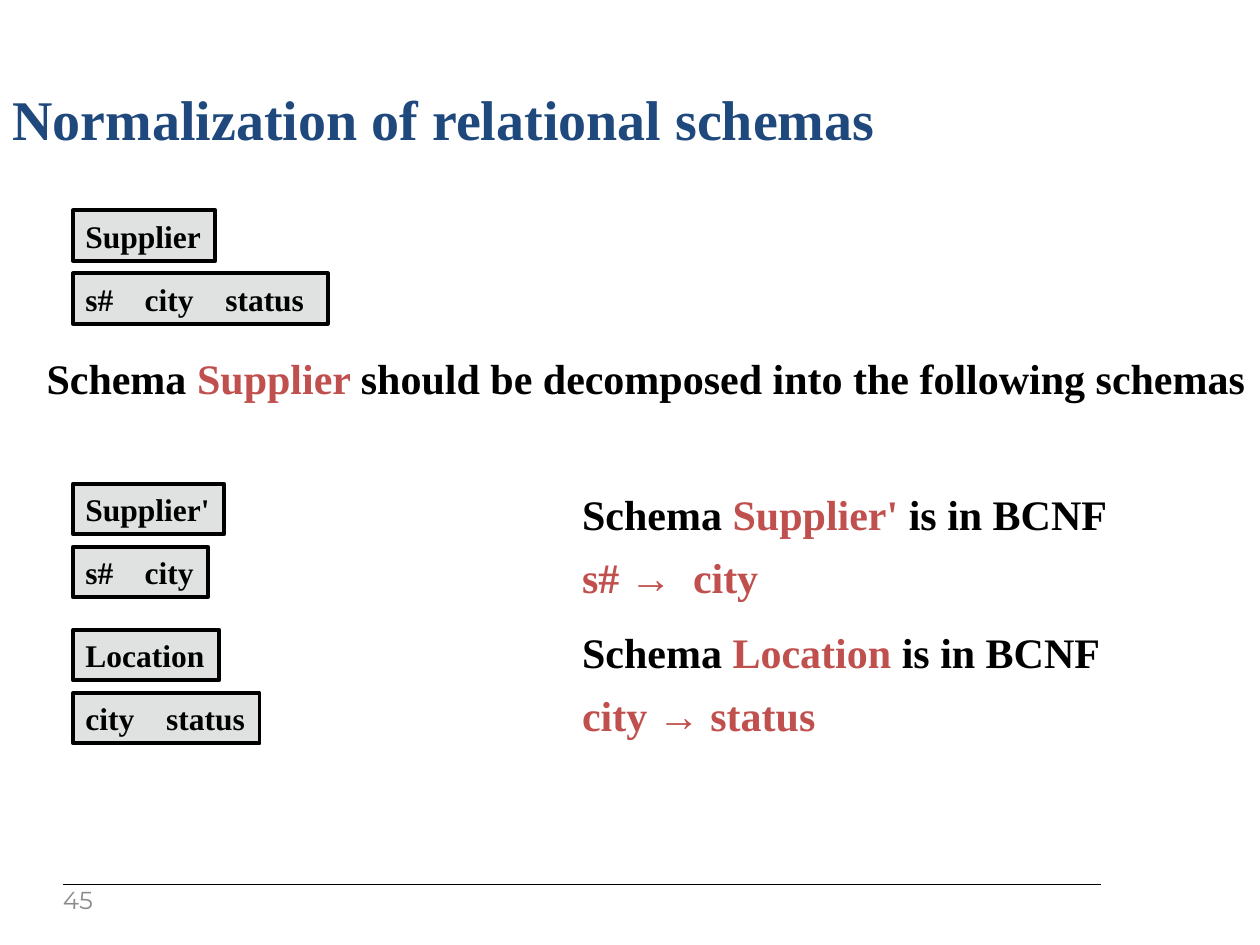
from dataclasses import dataclass

from lxml import etree
from pptx import Presentation
from pptx.dml.color import RGBColor
from pptx.enum.shapes import MSO_CONNECTOR, MSO_SHAPE
from pptx.enum.text import MSO_ANCHOR, PP_ALIGN
from pptx.oxml.ns import qn
from pptx.util import Inches, Pt

LEFT, MIDDLE, TOP = PP_ALIGN.LEFT, MSO_ANCHOR.MIDDLE, MSO_ANCHOR.TOP
RECTANGLE, STRAIGHT = MSO_SHAPE.RECTANGLE, MSO_CONNECTOR.STRAIGHT


@dataclass(frozen=True)
class Theme:
    ink: RGBColor = RGBColor(0x00, 0x00, 0x00)
    accent: RGBColor = RGBColor(0xC0, 0x50, 0x4D)
    heading: RGBColor = RGBColor(0x1F, 0x49, 0x7D)
    box_fill: RGBColor = RGBColor(0xE0, 0xE2, 0xE2)
    page_gray: RGBColor = RGBColor(0x8B, 0x8B, 0x8B)
    serif: str = "Times New Roman"
    sans: str = "Montserrat"
    title_size: int = 32
    statement_size: int = 24
    schema_size: int = 18
    page_size: int = 14


THEME = Theme()


@dataclass(frozen=True)
class Schema:
    name: str
    attributes: tuple[str, ...]
    top: float
    name_width: float
    row_width: float
    tabs: tuple[float, ...]
    grouped: bool = True


@dataclass(frozen=True)
class Statement:
    """A line of text whose phrases are (text, is_accented) pairs."""
    phrases: tuple[tuple[str, bool], ...]
    left: float
    top: float
    width: float
    tabs: tuple[float, ...] = ()


SCHEMAS = (
    Schema("Supplier", ("s#", "city", "status"), 1.67, 1.13, 2.02, (0.47, 1.11), grouped=False),
    Schema("Supplier'", ("s#", "city"), 3.84, 1.2, 1.07, (0.47,)),
    Schema("Location", ("city", "status"), 5, 1.16, 1.48, (0.64,)),
)

FINDING_LEFT = 4.42
STATEMENTS = (
    Statement((("Schema ", False), ("Supplier ", True),
               ("should be decomposed into the following schemas", False)), 0.17, 2.75, 10),
    Statement((("Schema", False), (" Supplier'", True), (" is in BCNF", False)),
              FINDING_LEFT, 3.83, 5.58),
    Statement((("s# →\tcity", True),), FINDING_LEFT, 4.33, 4.92, (0.88,)),
    Statement((("Schema ", False), ("Location", True), (" is in BCNF", False)),
              FINDING_LEFT, 4.92, 5.75),
    Statement((("city → status", True),), FINDING_LEFT, 5.42, 4.92),
)


def add_tab_stops(paragraph, positions: tuple[float, ...]) -> None:
    if positions:
        tab_list = etree.SubElement(paragraph._p.get_or_add_pPr(), qn("a:tabLst"))
        for position in positions:
            etree.SubElement(tab_list, qn("a:tab"), pos=str(Inches(position)), algn="l")


def set_font(paragraph, size: int, color: RGBColor, face: str = THEME.serif,
             bold: bool = True) -> None:
    font = paragraph.font
    font.name, font.size, font.bold = face, Pt(size), bold
    font.color.rgb = color


def set_insets(frame, left: float, top: float, right: float, bottom: float) -> None:
    frame.margin_left, frame.margin_top = Inches(left), Inches(top)
    frame.margin_right, frame.margin_bottom = Inches(right), Inches(bottom)


def add_text_frame(slide, left: float, top: float, width: float, height: float):
    frame = slide.shapes.add_textbox(
        Inches(left), Inches(top), Inches(width), Inches(height)).text_frame
    frame.word_wrap = True
    return frame


def draw_box(shapes, text: str, top: float, width: float, tabs: tuple[float, ...] = ()) -> None:
    box = shapes.add_shape(RECTANGLE, Inches(0.58), Inches(top), Inches(width), Inches(0.4))
    box.shadow.inherit = False
    box.fill.solid()
    box.fill.fore_color.rgb = THEME.box_fill
    box.line.color.rgb = THEME.ink
    box.line.width = Pt(2.25)
    frame = box.text_frame
    frame.word_wrap = True
    frame.vertical_anchor = TOP
    set_insets(frame, 0.1, 0.05, 0, 0.05)
    paragraph = frame.paragraphs[0]
    paragraph.text = text
    paragraph.alignment = LEFT
    add_tab_stops(paragraph, tabs)
    set_font(paragraph, THEME.schema_size, THEME.ink)


def draw_schema(slide, schema: Schema) -> None:
    """Draw the schema name with its attribute row below."""
    shapes = slide.shapes.add_group_shape().shapes if schema.grouped else slide.shapes
    draw_box(shapes, schema.name, schema.top, schema.name_width)
    draw_box(shapes, "\t".join(schema.attributes), schema.top + 0.5, schema.row_width, schema.tabs)


def draw_statement(slide, statement: Statement) -> None:
    frame = add_text_frame(slide, statement.left, statement.top, statement.width, 0.51)
    set_insets(frame, 0.2, 0.05, 0.2, 0.05)
    paragraph = frame.paragraphs[0]
    add_tab_stops(paragraph, statement.tabs)
    set_font(paragraph, THEME.statement_size, THEME.ink)
    for text, accented in statement.phrases:
        run = paragraph.add_run()
        run.text = text
        run.font.color.rgb = THEME.accent if accented else THEME.ink


def draw_title(slide) -> None:
    title = add_text_frame(slide, 0, 0.62, 10, 0.67).paragraphs[0]
    title.text = "Normalization of relational schemas"
    set_font(title, THEME.title_size, THEME.heading)


def draw_footer(slide) -> None:
    rule = slide.shapes.add_connector(
        STRAIGHT, Inches(0.5), Inches(7.02), Inches(8.74), Inches(7.02))
    rule.line.color.rgb = THEME.ink
    rule.line.width = Pt(0.75)
    etree.SubElement(rule._element.spPr, qn("a:effectLst"))
    frame = add_text_frame(slide, 0.5, 7.06, 0.4, 0.21)
    set_insets(frame, 0, 0, 0.1, 0.05)
    frame.vertical_anchor = MIDDLE
    page_number = frame.paragraphs[0]
    page_number.text = "45"
    set_font(page_number, THEME.page_size, THEME.page_gray, THEME.sans, bold=False)


def main() -> None:
    presentation = Presentation()
    presentation.slide_width, presentation.slide_height = Inches(10), Inches(7.5)
    slide = presentation.slides.add_slide(presentation.slide_layouts[6])
    draw_title(slide)
    for schema in SCHEMAS:
        draw_schema(slide, schema)
    for statement in STATEMENTS:
        draw_statement(slide, statement)
    draw_footer(slide)
    presentation.save("out.pptx")


if __name__ == "__main__":
    main()
